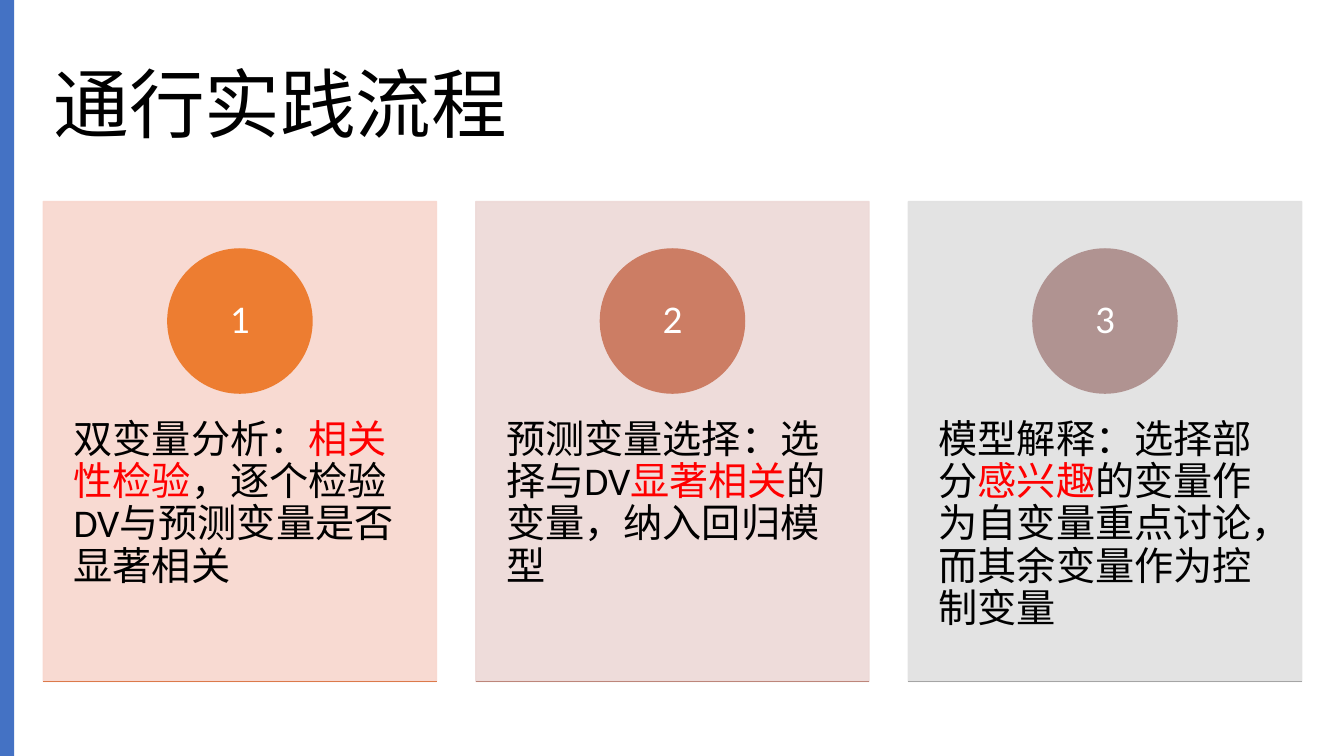
from lxml.etree import SubElement
from pptx import Presentation
from pptx.dml.color import RGBColor
from pptx.enum.shapes import MSO_CONNECTOR, MSO_SHAPE
from pptx.enum.text import MSO_ANCHOR, MSO_AUTO_SIZE, PP_ALIGN
from pptx.oxml.ns import qn
from pptx.util import Inches, Pt

BLACK = RGBColor(0, 0, 0)
WHITE = RGBColor(255, 255, 255)
RED = RGBColor(255, 0, 0)
BLUE = RGBColor(0x44, 0x72, 0xC4)
FONT = "Calibri"

# Content: text runs (plain, key, plain), then card, disc and rule colours
TITLE = "通行实践流程"
STEPS = [
    (("双变量分析：", "相关性检验", "，逐个检验DV与预测变量是否显著相关"),
     RGBColor(0xF8, 0xD7, 0xCE), RGBColor(0xED, 0x7D, 0x31), RGBColor(0xDC, 0x7A, 0x4B)),
    (("预测变量选择：选择与DV", "显著相关", "的变量，纳入回归模型"),
     RGBColor(0xED, 0xD9, 0xD7), RGBColor(0xCC, 0x7D, 0x64), RGBColor(0xBD, 0x86, 0x7B)),
    (("模型解释：选择部分", "感兴趣", "的变量作为自变量重点讨论，而其余变量作为控制变量"),
     RGBColor(0xE1, 0xE1, 0xE1), RGBColor(0xB0, 0x93, 0x91), RGBColor(0xA5, 0xA5, 0xA5)),
]

# Layout in inches
LEFT, TOP, WIDTH, HEIGHT = 0.43, 2, 3.9, 4.76
PITCH = 4.29
DISC, DISC_TOP = 1.43, 2.47
TEXT_TOP, TEXT_HEIGHT = 3.8, 2.86

deck = Presentation()
deck.slide_width, deck.slide_height = Inches(13.33), Inches(7.5)
slide = deck.slides.add_slide(deck.slide_layouts[5])
shapes = slide.shapes


def style(run, size, color):
    run.font.name = FONT
    run.font.size = Pt(size)
    run.font.color.rgb = color


def add_block(kind, x, y, w, h, color):
    block = shapes.add_shape(kind, Inches(x), Inches(y), Inches(w), Inches(h))
    block.shadow.inherit = False
    block.fill.solid()
    block.fill.fore_color.rgb = color
    block.line.fill.background()
    return block


def set_insets(frame, side, end):
    frame.margin_left = frame.margin_right = Inches(side)
    frame.margin_top = frame.margin_bottom = Inches(end)


def add_card(x, color):
    card = add_block(MSO_SHAPE.RECTANGLE, x, TOP, WIDTH, HEIGHT, color)
    card.line.color.rgb = color
    card.line.width = Pt(1)
    for tone in card._element.spPr.iter(qn("a:srgbClr")):
        SubElement(tone, qn("a:alpha"), val="90000")


def add_note(x, parts):
    box = shapes.add_textbox(Inches(x), Inches(TEXT_TOP), Inches(WIDTH), Inches(TEXT_HEIGHT))
    frame = box.text_frame
    frame.word_wrap = True
    set_insets(frame, 0.3, 0.36)
    para = frame.paragraphs[0]
    para.line_spacing = 0.9
    for part, color in zip(parts, (BLACK, RED, BLACK)):
        run = para.add_run()
        run.text = part
        style(run, 28, color)


def add_disc(x, number, color):
    disc = add_block(MSO_SHAPE.OVAL, x + (WIDTH - DISC) / 2, DISC_TOP, DISC, DISC, color)
    disc.line.color.rgb = color
    disc.line.width = Pt(1)
    frame = disc.text_frame
    set_insets(frame, 0.11, 0.01)
    frame.vertical_anchor = MSO_ANCHOR.MIDDLE
    para = frame.paragraphs[0]
    para.text = str(number)
    para.alignment = PP_ALIGN.CENTER
    para.line_spacing = 0.9
    style(para.runs[0], 28, WHITE)


def add_rule(x, color):
    y = Inches(TOP + HEIGHT)
    rule = shapes.add_connector(MSO_CONNECTOR.STRAIGHT, Inches(x), y, Inches(x + WIDTH), y)
    rule.line.color.rgb = color
    rule.line.width = Pt(1)
    SubElement(rule._element.spPr, qn("a:effectLst"))


# Title
title = shapes.title
title.left, title.top = Inches(LEFT), Inches(0.35)
title.width, title.height = Inches(12.48), Inches(1.45)
frame = title.text_frame
frame.text = TITLE
frame.auto_size = MSO_AUTO_SIZE.NONE
frame.vertical_anchor = MSO_ANCHOR.MIDDLE
para = frame.paragraphs[0]
para.alignment = PP_ALIGN.LEFT
para.line_spacing = 0.9
style(para.runs[0], 54, BLACK)

# Side bar
add_block(MSO_SHAPE.RECTANGLE, 0, 0, 0.14, 7.5, BLUE)

# Step cards
for i, (parts, pale, strong, edge) in enumerate(STEPS):
    x = LEFT + i * PITCH
    add_card(x, pale)
    add_note(x, parts)
    add_disc(x, i + 1, strong)
    add_rule(x, edge)

deck.save("out.pptx")
